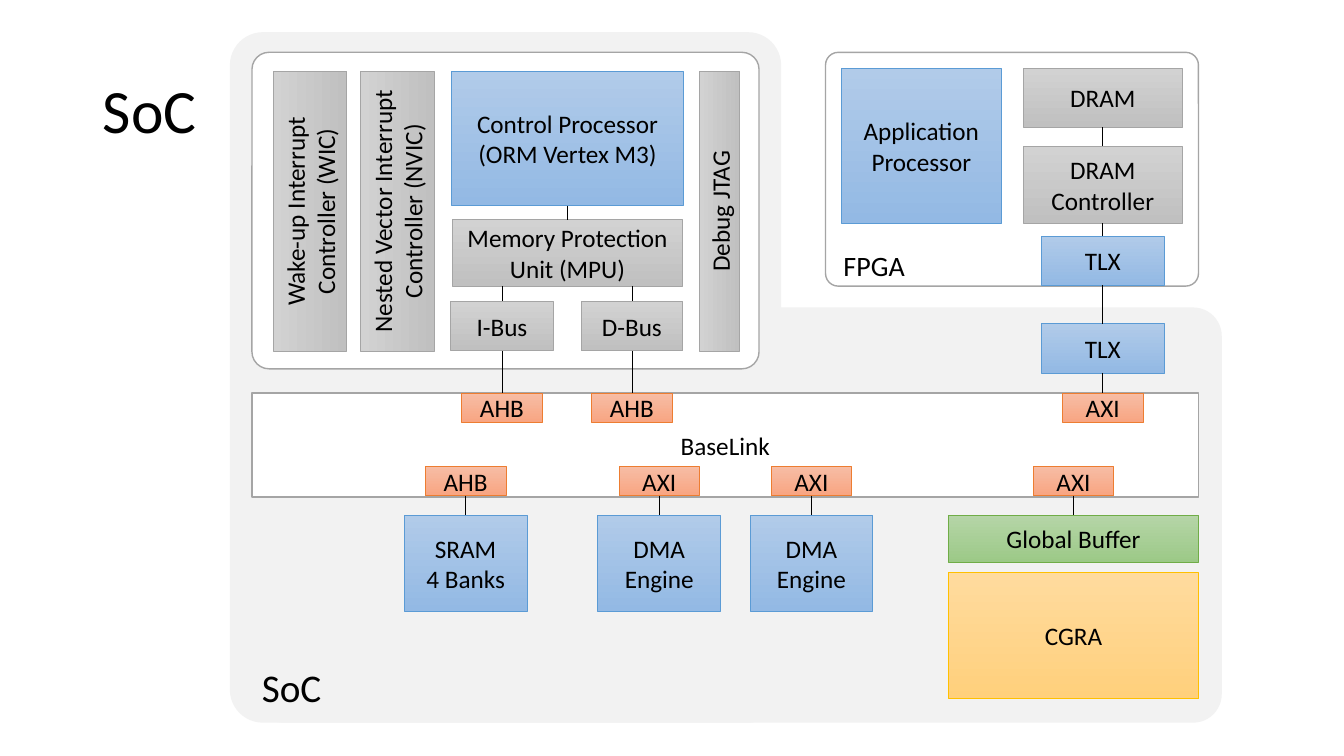
from dataclasses import dataclass

from lxml import etree
from pptx import Presentation
from pptx.dml.color import RGBColor
from pptx.enum import shapes, text
from pptx.oxml.ns import qn
from pptx.shapes.autoshape import Shape
from pptx.slide import Slide
from pptx.text.text import TextFrame
from pptx.util import Pt

BLACK = RGBColor(0x00, 0x00, 0x00)
WHITE = RGBColor(0xFF, 0xFF, 0xFF)
PALE_GRAY = RGBColor(0xF2, 0xF2, 0xF2)
MID_GRAY = RGBColor(0xA5, 0xA5, 0xA5)
FONT = "Calibri"
TOP, BOTTOM = 0, 2


@dataclass(frozen=True)
class Style:
    """Gradient from first to last, with an outline."""
    first: RGBColor
    last: RGBColor
    outline: RGBColor


BLUE = Style(RGBColor(0xB1, 0xCB, 0xE9), RGBColor(0x93, 0xB9, 0xE4), RGBColor(0x5B, 0x9B, 0xD5))
GRAY = Style(RGBColor(0xD2, 0xD2, 0xD2), RGBColor(0xC0, 0xC0, 0xC0), MID_GRAY)
ORANGE = Style(RGBColor(0xF7, 0xBD, 0xA5), RGBColor(0xF8, 0xA5, 0x82), RGBColor(0xED, 0x7D, 0x31))
GREEN = Style(RGBColor(0xB5, 0xD5, 0xA7), RGBColor(0x9C, 0xC9, 0x87), RGBColor(0x70, 0xAD, 0x47))
YELLOW = Style(RGBColor(0xFF, 0xDB, 0x9E), RGBColor(0xFF, 0xD0, 0x7C), RGBColor(0xFF, 0xC0, 0x00))


@dataclass(frozen=True)
class Panel:
    left: float
    top: float
    width: float
    height: float
    fill: RGBColor
    outline: RGBColor | None = None
    corner: float = 0
    label: str = ""


@dataclass(frozen=True)
class Block:
    """A labelled box, placed by its horizontal centre and its top."""
    name: str
    label: str
    center: float
    top: float
    width: float
    height: float
    style: Style
    upright: bool = False


@dataclass(frozen=True)
class Caption:
    label: str
    left: float
    top: float
    width: float
    height: float
    size: float


# Centre lines shared by the blocks of one column
CONTROL, IBUS, DBUS = 405.4, 358.56, 451.4
SRAM, DMA_1, DMA_2 = 332.6, 470.9, 579.6
MEMORY, ARRAY = 787.7, 766.8

PANELS = [
    Panel(164.2, 23, 393.8, 493.2, PALE_GRAY, corner=0.06),
    Panel(182.2, 219.6, 690.5, 296.6, PALE_GRAY, corner=0.069),
    Panel(180, 280.8, 676.1, 74.2, WHITE, MID_GRAY, label="BaseLink"),
    Panel(180, 37.4, 362.2, 226.1, WHITE, MID_GRAY, 0.054),
    Panel(589.7, 37.4, 266.4, 167, WHITE, MID_GRAY, 0.054),
]

BLOCKS = [
    Block("cgra", "CGRA", ARRAY, 409, 178.6, 90, YELLOW),
    Block("buffer", "Global Buffer", ARRAY, 368, 178.6, 33.8, GREEN),
    Block("control", "Control Processor\n(ORM Vertex M3)", CONTROL, 51.1, 165.6, 95.8, BLUE),
    Block("mpu", "Memory Protection Unit (MPU)", CONTROL, 157, 164.8, 47.5, GRAY),
    Block("ibus", "I-Bus", IBUS, 215.3, 73.4, 35.3, GRAY),
    Block("dbus", "D-Bus", DBUS, 215.3, 72.4, 35.3, GRAY),
    Block("wic", "Wake-up Interrupt Controller (WIC)", 221.3, 50.8, 52.6, 200.2, GRAY, True),
    Block("nvic", "Nested Vector Interrupt Controller (NVIC)", 283.7, 50.8, 52.6, 200.2, GRAY, True),
    Block("jtag", "Debug JTAG", 514.1, 50.8, 28.8, 200.2, GRAY, True),
    Block("application", "Application Processor", 658.1, 49, 113.8, 110.4, BLUE),
    Block("dram", "DRAM", MEMORY, 49, 113.8, 41.8, GRAY),
    Block("dram control", "DRAM Controller", MEMORY, 104.4, 113.8, 55.2, GRAY),
    Block("fpga tlx", "TLX", MEMORY, 168.5, 87.8, 35.3, BLUE),
    Block("soc tlx", "TLX", MEMORY, 231.1, 87.8, 35.3, BLUE),
]
BLOCKS += [
    Block(name, label, center, 368, 87.8, 68.4, BLUE)
    for name, label, center in [
        ("sram", "SRAM\n4 Banks", SRAM),
        ("dma 1", "DMA Engine", DMA_1),
        ("dma 2", "DMA Engine", DMA_2),
    ]
]
BLOCKS += [
    Block(f"{owner} port", label, center, top, 57.6, 21, ORANGE)
    for owner, label, center, top in [
        ("ibus", "AHB", IBUS, 280.8),
        ("dbus", "AHB", DBUS, 280.8),
        ("soc tlx", "AXI", MEMORY, 280.8),
        ("sram", "AHB", SRAM, 333),
        ("dma 1", "AXI", DMA_1, 333),
        ("dma 2", "AXI", DMA_2, 333),
        ("buffer", "AXI", ARRAY, 333),
    ]
]

CAPTIONS = [
    Caption("FPGA", 595.4, 174.2, 59, 31.7, 20),
    Caption("SoC", 180, 470.2, 57.6, 41, 28),
]

# Upper and lower block of each link
LINKS = [
    ("control", "mpu"), ("mpu", "ibus"), ("mpu", "dbus"),
    ("dram", "dram control"), ("dram control", "fpga tlx"), ("fpga tlx", "soc tlx"),
    *((owner, f"{owner} port") for owner in ("ibus", "dbus", "soc tlx")),
    *((f"{owner} port", owner) for owner in ("sram", "dma 1", "dma 2", "buffer")),
]


def write(frame: TextFrame, label: str, *, size: float = 18,
          align: text.PP_ALIGN = text.PP_ALIGN.CENTER,
          anchor: text.MSO_ANCHOR = text.MSO_ANCHOR.MIDDLE,
          wrap: bool = True, spacing: float = 1.0) -> None:
    frame.text = label
    frame.word_wrap = wrap
    frame.vertical_anchor = anchor
    for para in frame.paragraphs:
        para.alignment = align
        para.line_spacing = spacing
        for span in para.runs:
            span.font.name = FONT
            span.font.size = Pt(size)
            span.font.color.rgb = BLACK


def draw_panel(page: Slide, panel: Panel) -> None:
    kind = shapes.MSO_SHAPE.ROUNDED_RECTANGLE if panel.corner else shapes.MSO_SHAPE.RECTANGLE
    box = page.shapes.add_shape(kind, Pt(panel.left), Pt(panel.top), Pt(panel.width), Pt(panel.height))
    box.shadow.inherit = False
    if panel.corner:
        box.adjustments[0] = panel.corner
    box.fill.solid()
    box.fill.fore_color.rgb = panel.fill
    if panel.outline is None:
        box.line.fill.background()
    else:
        box.line.color.rgb = panel.outline
        box.line.width = Pt(1)
    if panel.label:
        write(box.text_frame, panel.label)


def draw_block(page: Slide, block: Block) -> Shape:
    width, height = block.width, block.height
    middle = block.top + height / 2
    if block.upright:
        width, height = height, width
    box = page.shapes.add_shape(shapes.MSO_SHAPE.RECTANGLE, Pt(block.center - width / 2),
                                Pt(middle - height / 2), Pt(width), Pt(height))
    box.rotation = 270 if block.upright else 0
    box.shadow.inherit = False
    box.fill.gradient()
    box.fill.gradient_angle = 270
    for stop, color in zip(box.fill.gradient_stops, (block.style.first, block.style.last)):
        stop.color.rgb = color
    for stop, position in zip(box.fill.gradient_stops, (0, 1)):
        stop.position = position
    box.line.color.rgb = block.style.outline
    box.line.width = Pt(0.5)
    write(box.text_frame, block.label)
    return box


def draw_link(page: Slide, upper: Shape, lower: Shape) -> None:
    """Drop a vertical line to the lower box, joined at each side whose middle it meets."""
    x = lower.left + lower.width // 2
    line = page.shapes.add_connector(shapes.MSO_CONNECTOR.STRAIGHT, x, upper.top + upper.height, x, lower.top)
    if abs(upper.left + upper.width // 2 - x) < Pt(1):
        line.begin_connect(upper, BOTTOM)
    line.end_connect(lower, TOP)
    line.line.color.rgb = BLACK
    line.line.width = Pt(0.5)
    etree.SubElement(line._element.spPr, qn("a:effectLst"))


def main() -> None:
    deck = Presentation()
    deck.slide_width, deck.slide_height = Pt(960), Pt(540)
    page = deck.slides.add_slide(deck.slide_layouts[5])
    title = page.shapes.title
    title.left, title.top, title.width, title.height = Pt(66.2), Pt(28.8), Pt(828), Pt(104.4)
    write(title.text_frame, "SoC", size=44, align=text.PP_ALIGN.LEFT, spacing=0.9)

    for panel in PANELS:
        draw_panel(page, panel)
    boxes = {block.name: draw_block(page, block) for block in BLOCKS}
    for upper, lower in LINKS:
        draw_link(page, boxes[upper], boxes[lower])
    for caption in CAPTIONS:
        box = page.shapes.add_textbox(Pt(caption.left), Pt(caption.top), Pt(caption.width), Pt(caption.height))
        write(box.text_frame, caption.label, size=caption.size, align=text.PP_ALIGN.LEFT,
              anchor=text.MSO_ANCHOR.TOP, wrap=False)
    deck.save("out.pptx")


if __name__ == "__main__":
    main()
